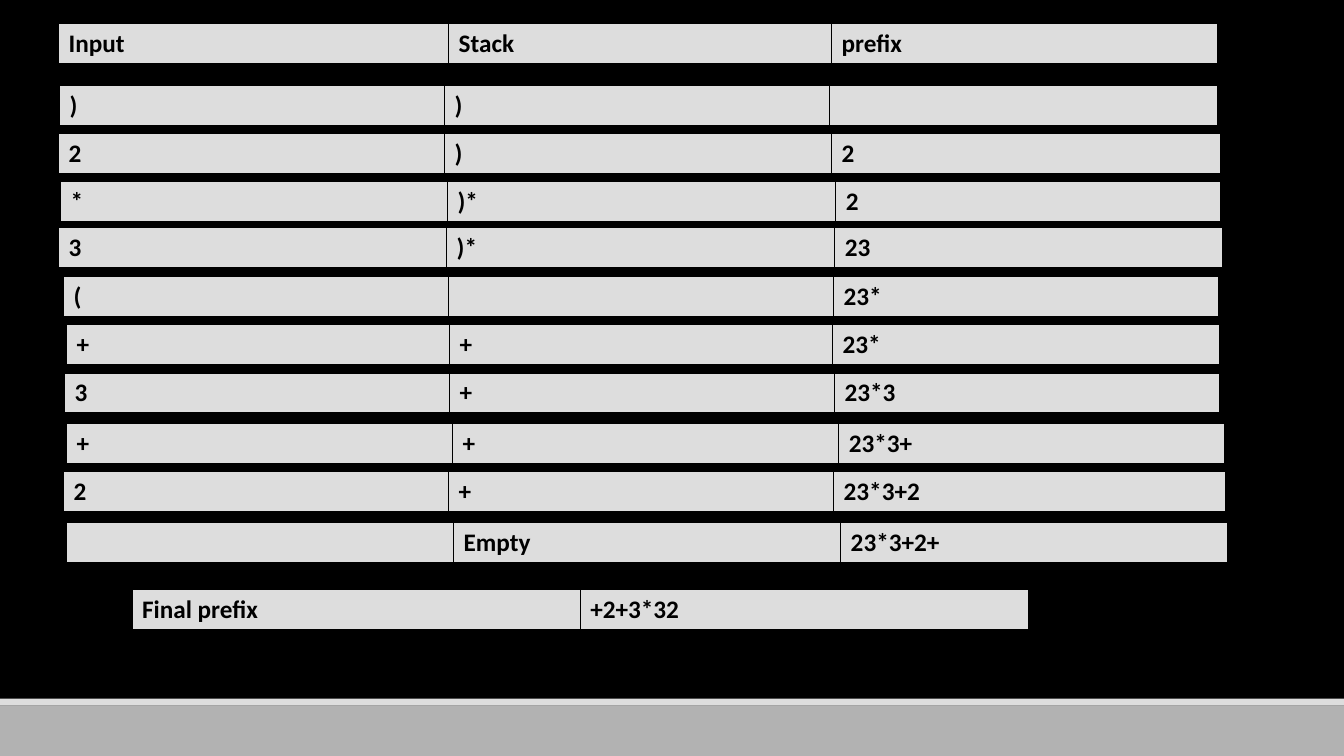
from lxml.etree import SubElement
from pptx import Presentation
from pptx.dml.color import RGBColor
from pptx.enum.shapes import MSO_SHAPE
from pptx.oxml.ns import qn
from pptx.util import Inches, Pt

COLOURS = {"ink": "000000", "cell": "DDDDDD", "footer": "B2B2B2"}
SLIDE_WIDTH, SLIDE_HEIGHT = Inches(13.33), Inches(7.5)
ROW_HEIGHT = 5.47  # percent of the slide height
BORDERS = {"a:lnL": 1, "a:lnR": 1, "a:lnT": 1, "a:lnB": 3}

# Left (% of width), top (% of height), column widths (% of width), cell texts
CONVERSION_STEPS = [
    (4.35, 3.07, (29.03, 28.5, 28.73), ("Input", "Stack", "prefix")),
    (4.43, 11.33, (28.65, 28.65, 28.88), (")", ")", "")),
    (4.35, 17.6, (28.73, 28.8, 28.95), ("2", ")", "2")),
    (4.5, 24, (28.8, 28.88, 28.65), ("*", ")*", "2")),
    (4.35, 30.13, (28.88,) * 3, ("3", ")*", "23")),
    (4.73, 36.53, (28.65,) * 3, ("(", "", "23*")),
    (4.95, 42.93, (28.5, 28.5, 28.8), ("+", "+", "23*")),
    (4.8, 49.33, (28.65,) * 3, ("3", "+", "23*3")),
    (4.95, 56, (28.73,) * 3, ("+", "+", "23*3+")),
    (4.73, 62.4, (28.65, 28.65, 29.18), ("2", "+", "23*3+2")),
    (4.95, 69.07, (28.8,) * 3, ("", "Empty", "23*3+2+")),
    (9.83, 78, (33.34,) * 2, ("Final prefix", "+2+3*32")),
]


def across(percent):
    """Turn a share of the slide width into a length."""
    return int(SLIDE_WIDTH * percent / 100)


def down(percent):
    """Turn a share of the slide height into a length."""
    return int(SLIDE_HEIGHT * percent / 100)


def colour(name):
    """Look up a named colour."""
    return RGBColor.from_string(COLOURS[name])


def add_band(page, top, height, fill_name):
    """Add a plain band across the full width of the slide."""
    band = page.shapes.add_shape(
        MSO_SHAPE.RECTANGLE, 0, down(top), SLIDE_WIDTH, down(height))
    band.shadow.inherit = False
    band.fill.solid()
    band.fill.fore_color.rgb = colour(fill_name)
    band.line.fill.background()


def set_borders(cell):
    """Draw the four dark borders of a cell."""
    properties = cell._tc.get_or_add_tcPr()
    for tag, points in BORDERS.items():
        border = SubElement(properties, qn(tag), w=str(Pt(points)))
        fill = SubElement(border, qn("a:solidFill"))
        SubElement(fill, qn("a:srgbClr"), val=COLOURS["ink"])


def fill_cell(cell, text):
    """Style one cell and write its text, if any."""
    set_borders(cell)
    cell.fill.solid()
    cell.fill.fore_color.rgb = colour("cell")
    para = cell.text_frame.paragraphs[0]
    para.font.size = Pt(18)
    if text:
        span = para.add_run()
        span.text = text
        span.font.name = "Calibri"
        span.font.size = Pt(18)
        span.font.bold = True
        span.font.color.rgb = colour("ink")


def add_step(page, left, top, widths, texts):
    """Add a one-row table that shows one step of the conversion."""
    table = page.shapes.add_table(
        1, len(texts), across(left), down(top),
        across(sum(widths)), down(ROW_HEIGHT)).table
    table.first_row = False
    table.horz_banding = False
    for column, width, cell, text in zip(
            table.columns, widths, table.rows[0].cells, texts):
        column.width = across(width)
        fill_cell(cell, text)


def main():
    """Build the slide and save the deck."""
    deck = Presentation()
    deck.slide_width, deck.slide_height = SLIDE_WIDTH, SLIDE_HEIGHT
    page = deck.slides.add_slide(deck.slide_layouts[6])
    page.background.fill.solid()
    page.background.fill.fore_color.rgb = colour("ink")
    add_band(page, 93.33, 6.67, "footer")
    add_band(page, 92.4, 0.93, "cell")
    for step in CONVERSION_STEPS:
        add_step(page, *step)
    deck.save("out.pptx")


main()
